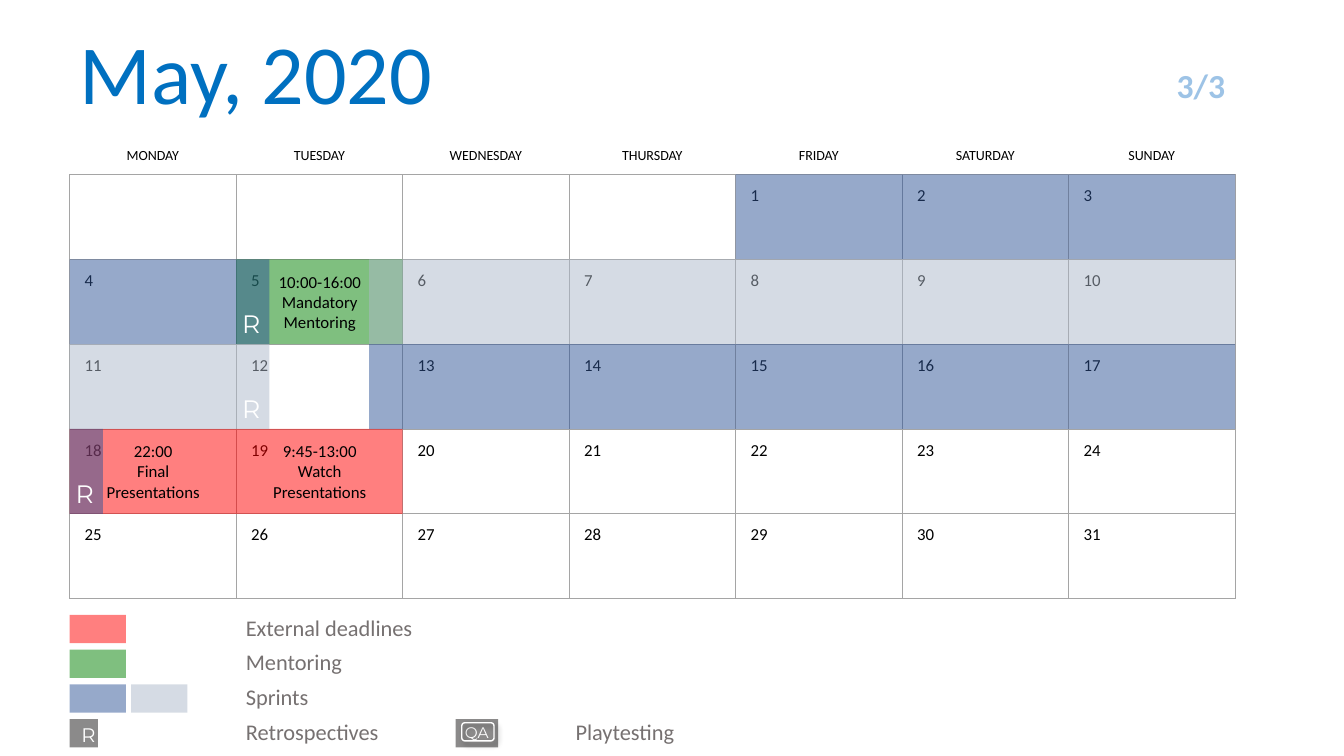
import lxml.etree
import pptx
import pptx.dml.color
import pptx.enum.shapes
import pptx.enum.text
import pptx.oxml.ns
import pptx.util

Inches = pptx.util.Inches
Pt = pptx.util.Pt
ALIGN = pptx.enum.text.PP_ALIGN
ANCHOR = pptx.enum.text.MSO_ANCHOR
SHAPE = pptx.enum.shapes.MSO_SHAPE
qn = pptx.oxml.ns.qn

# Calendar grid
LEFT, TOP, HEADER_HEIGHT = 0.69, 1.35, 0.38
TABLE_WIDTH, TABLE_HEIGHT = 11.56, 4.59
DAYS = ["MONDAY", "TUESDAY", "WEDNESDAY", "THURSDAY", "FRIDAY", "SATURDAY", "SUNDAY"]
WEEKS, FIRST_COLUMN, LAST_DAY = 5, 4, 31
DAY_WIDTH = TABLE_WIDTH / len(DAYS)
DAY_HEIGHT = (TABLE_HEIGHT - HEADER_HEIGHT) / WEEKS

# Colours and text formats
RED, GREEN, BLUE, PALE, DARK = "FF0000", "008000", "2F5597", "ADB9CA", "181717"
GRID = "A5A5A5"
TITLE = {"name": "Calibri", "size": Pt(60), "color": "0070C0"}
COUNTER = {"name": "Calibri", "size": Pt(24), "color": "9DC3E6", "bold": True}
HEADER = {"name": "Calibri", "size": Pt(10), "color": "000000", "bold": False}
DAY = {"name": "Calibri", "size": Pt(12), "color": "000000", "bold": False}
LABEL = {"name": "Calibri", "size": Pt(16), "color": "767171"}
MARK = {"name": "Montserrat", "size": Pt(18), "color": "FFFFFF"}

# Week, column and text of each event
EVENTS = [
    (1, 1, GREEN, "10:00-16:00\vMandatory\nMentoring"),
    (3, 0, RED, "22:00\vFinal\nPresentations"),
    (3, 1, RED, "9:45-13:00\vWatch Presentations"),
]
# Week, colour, and (start, length) of the bars in days
SPRINTS = [
    (0, BLUE, [(4, 1), (5, 1), (6, 1)]),
    (1, BLUE, [(0, 1.2)]),
    (1, PALE, [(1.8, 1.2), (3, 1), (4, 1), (5, 1), (6, 1)]),
    (2, PALE, [(0, 1.2)]),
    (2, BLUE, [(1.8, 1.2), (3, 1), (4, 1), (5, 1), (6, 1)]),
    (3, BLUE, [(0, 0.2)]),
]
RETROSPECTIVES = [(1, 1), (2, 1), (3, 0)]


def rgb(code):
    return pptx.dml.color.RGBColor.from_string(code)


def day_corner(week, column):
    return LEFT + column * DAY_WIDTH, TOP + HEADER_HEIGHT + week * DAY_HEIGHT


def write(frame, text, style, align=ALIGN.LEFT, spacing=1.0):
    for index, line in enumerate(text.split("\n")):
        para = frame.paragraphs[0] if index == 0 else frame.add_paragraph()
        para.text = line
        para.alignment = align
        para.line_spacing = spacing
        for span in para.runs:
            for key, value in style.items():
                if key == "color":
                    span.font.color.rgb = rgb(value)
                else:
                    setattr(span.font, key, value)


def add_text(page, place, text, style, align=ALIGN.LEFT, spacing=1.0, anchor=ANCHOR.TOP):
    box = page.shapes.add_textbox(*map(Inches, place))
    box.text_frame.word_wrap = True
    box.text_frame.vertical_anchor = anchor
    write(box.text_frame, text, style, align, spacing)


def add_tint(page, place, color):
    """Half-transparent rectangle without outline."""
    box = page.shapes.add_shape(SHAPE.RECTANGLE, *map(Inches, place))
    box.shadow.inherit = False
    box.fill.solid()
    box.fill.fore_color.rgb = rgb(color)
    box.line.fill.background()
    tone = box.fill._xPr.find(".//" + qn("a:srgbClr"))
    lxml.etree.SubElement(tone, qn("a:alpha"), val="50000")


def add_badge_frame(page, place):
    """White rounded outline with a soft shadow."""
    box = page.shapes.add_shape(SHAPE.ROUNDED_RECTANGLE, *map(Inches, place))
    box.fill.background()
    box.line.color.rgb = rgb("FFFFFF")
    box.line.width = Pt(1)
    box.shadow.inherit = False
    effects = box._element.spPr.find(qn("a:effectLst"))
    shadow = lxml.etree.SubElement(effects, qn("a:outerShdw"), blurRad=str(Pt(4)),
                                   dist=str(Pt(3)), dir="2700000", rotWithShape="0")
    tone = lxml.etree.SubElement(shadow, qn("a:srgbClr"), val="000000")
    lxml.etree.SubElement(tone, qn("a:alpha"), val="40000")


def set_borders(cell, sides):
    properties = cell._tc.get_or_add_tcPr()
    for index, side in enumerate("LRTB"):
        line = lxml.etree.Element(qn("a:ln" + side), w=str(Pt(0.5)))
        if side in sides:
            fill = lxml.etree.SubElement(line, qn("a:solidFill"))
            lxml.etree.SubElement(fill, qn("a:srgbClr"), val=GRID)
        else:
            lxml.etree.SubElement(line, qn("a:noFill"))
        properties.insert(index, line)


def add_calendar(page):
    place = (LEFT, TOP, TABLE_WIDTH, TABLE_HEIGHT)
    table = page.shapes.add_table(WEEKS + 1, len(DAYS), *map(Inches, place)).table
    table.first_row = table.horz_banding = False
    for column in table.columns:
        column.width = Inches(DAY_WIDTH)
    for index, row in enumerate(table.rows):
        row.height = Inches(DAY_HEIGHT if index else HEADER_HEIGHT)
        for column, cell in enumerate(row.cells):
            cell.fill.background()
            if index == 0:
                cell.vertical_anchor = ANCHOR.MIDDLE
                write(cell.text_frame, DAYS[column], HEADER, ALIGN.CENTER)
                set_borders(cell, "B")
                continue
            number = (index - 1) * len(DAYS) + column - FIRST_COLUMN + 1
            if 1 <= number <= LAST_DAY:
                write(cell.text_frame, str(number), DAY, spacing=1.3)
                indent = cell.text_frame.paragraphs[0]._p.get_or_add_pPr()
                indent.set("marL", str(Inches(0.05)))
            set_borders(cell, "LRTB")


def add_plan(page):
    for week, column, color, text in EVENTS:
        left, top = day_corner(week, column)
        add_tint(page, (left, top, DAY_WIDTH, DAY_HEIGHT), color)
        add_text(page, (left + 0.06, top + 0.07, 1.54, 0.71), text, DAY, ALIGN.CENTER)
    for week, color, bars in SPRINTS:
        for start, length in bars:
            add_tint(page, (*day_corner(week, start), length * DAY_WIDTH, DAY_HEIGHT), color)
    for week, column in RETROSPECTIVES:
        left, top = day_corner(week, column)
        add_text(page, (left - 0.05, top + 0.44, 0.4, 0.4), "R", MARK, ALIGN.CENTER)


def add_legend(page):
    # Label, then (left, width, colour) of its swatches
    rows = [
        ("External deadlines", [(LEFT, 0.56, RED)]),
        ("Mentoring", [(LEFT, 0.56, GREEN)]),
        ("Sprints", [(LEFT, 0.56, BLUE), (1.3, 0.56, PALE)]),
        ("Retrospectives", [(LEFT, 0.28, DARK), (4.52, 0.42, DARK)]),
    ]
    for index, (label, swatches) in enumerate(rows):
        top = 6.1 + index * 0.345
        for left, width, color in swatches:
            add_tint(page, (left, top, width, 0.28), color)
        add_text(page, (2.34, top - 0.06, 1.88, 0.37), label, LABEL)
    add_text(page, (0.71, 7.12, 0.22, 0.34), "R", {**MARK, "size": Pt(14)}, ALIGN.CENTER)
    add_text(page, (4.5, 7.12, 0.46, 0.29), "QA", {**MARK, "size": Pt(11)}, ALIGN.CENTER)
    add_badge_frame(page, (4.58, 7.17, 0.32, 0.18))
    add_text(page, (5.61, 7.08, 1.26, 0.37), "Playtesting", LABEL)


def main():
    deck = pptx.Presentation()
    deck.slide_width, deck.slide_height = Inches(13.33), Inches(7.5)
    page = deck.slides.add_slide(deck.slide_layouts[6])
    # Heading
    add_text(page, (0.69, 0.02, 4.01, 1.25), "May, 2020", TITLE,
             spacing=0.9, anchor=ANCHOR.BOTTOM)
    add_text(page, (11.34, 0.64, 0.91, 0.45), "3/3", COUNTER,
             ALIGN.RIGHT, 0.8, ANCHOR.BOTTOM)
    # Calendar, planned work and key
    add_calendar(page)
    add_plan(page)
    add_legend(page)
    deck.save("out.pptx")


main()
